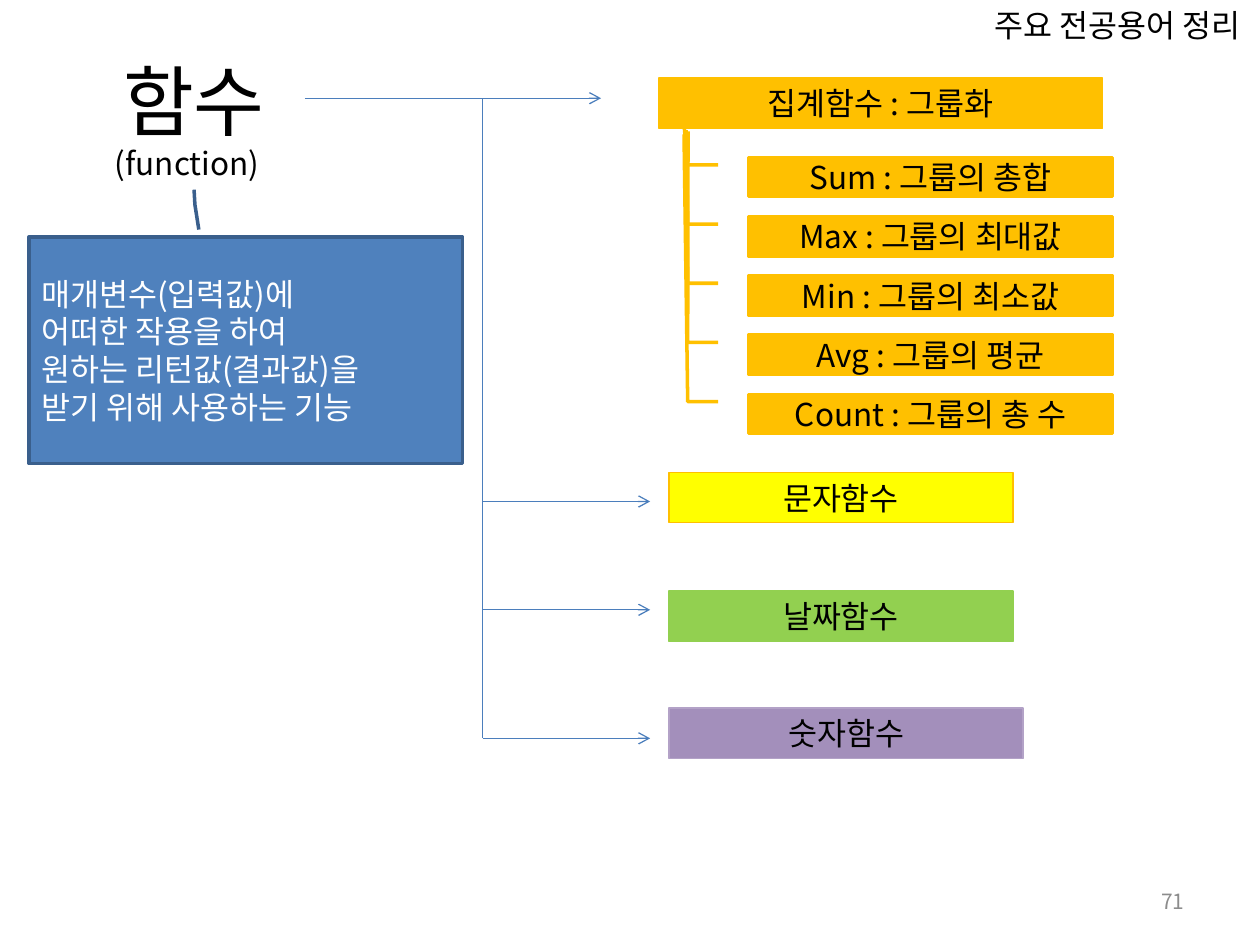
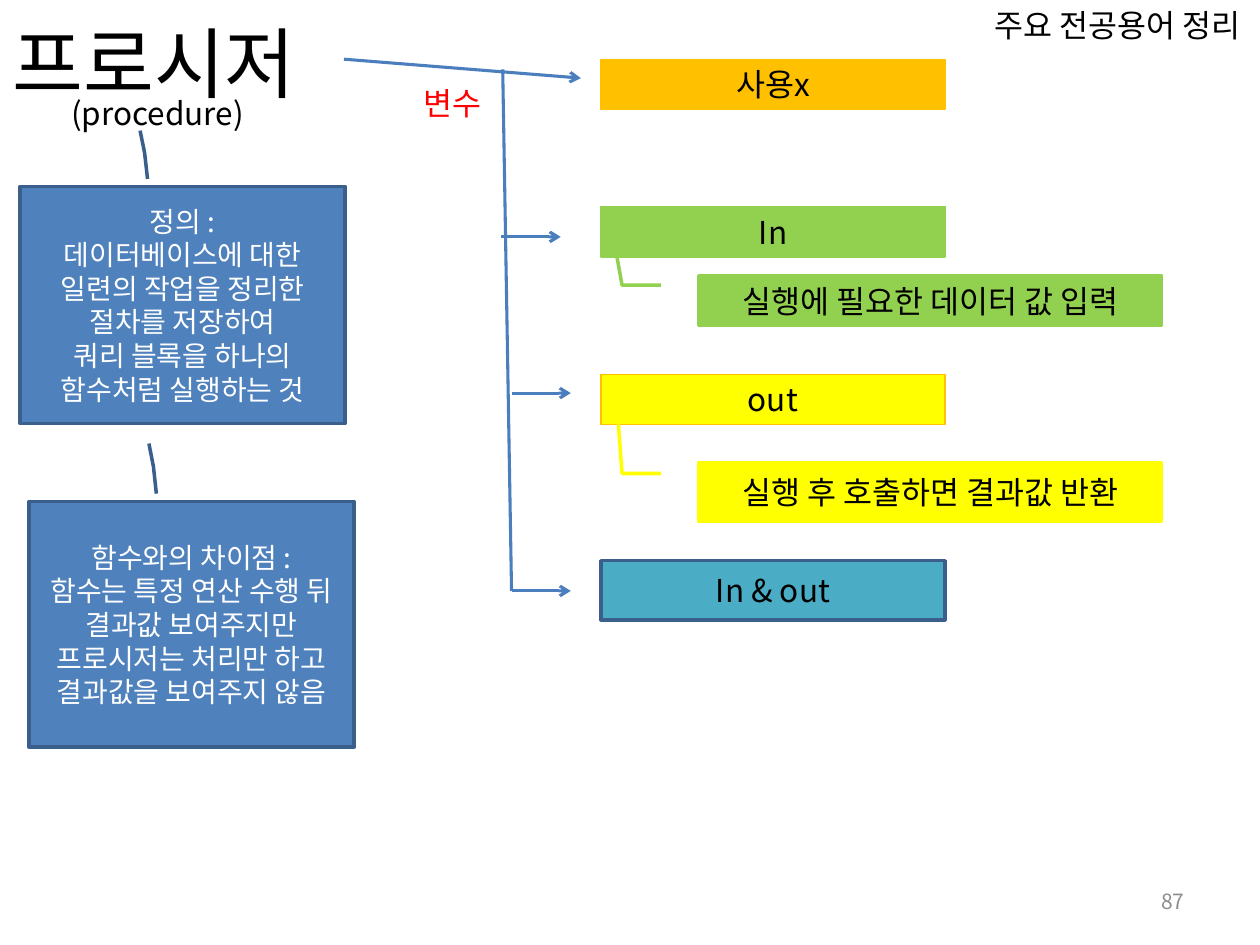
from typing import NamedTuple

from lxml import etree
from pptx import Presentation
from pptx import util as u
from pptx.dml.color import RGBColor
from pptx.enum import shapes, text
from pptx.oxml import ns

FONT = "Noto Sans CJK KR"
BLACK, WHITE, RED, GRAY = "000000", "FFFFFF", "FF0000", "8C8C8C"
BLUE, DARK_BLUE, ARROW_BLUE = "4F81BD", "3A5F8C", "4B7EBC"
ORANGE, YELLOW, GREEN, TEAL = "FFC000", "FFFF00", "92D050", "4BACC6"
PURPLE, LIGHT_PURPLE = "8064A2", "B3A2C7"

CENTER, LEFT, RIGHT = text.PP_ALIGN.CENTER, text.PP_ALIGN.LEFT, text.PP_ALIGN.RIGHT
TOP, MIDDLE = text.MSO_ANCHOR.TOP, text.MSO_ANCHOR.MIDDLE
RECTANGLE = shapes.MSO_SHAPE.RECTANGLE
CALLOUT = shapes.MSO_SHAPE.LINE_CALLOUT_2
ELBOW, STRAIGHT = shapes.MSO_CONNECTOR.ELBOW, shapes.MSO_CONNECTOR.STRAIGHT

# Callout leader: start and bend, as (y, x) shares of the box
TOP_LEADER = (-0.032, 0.392, -0.142, 0.383)
SIDE_LEADER = (0.188, -0.083, 0.188, -0.167)


class Area(NamedTuple):
    left: float
    top: float
    width: float
    height: float


class Style(NamedTuple):
    size: float = 18
    color: str = BLACK
    align: text.PP_ALIGN = CENTER
    anchor: text.MSO_ANCHOR = TOP
    spacing: float = 1.2


class Box(NamedTuple):
    area: Area
    words: str
    fill: str
    line: str
    line_width: float = 0.75
    style: Style = Style()
    leader: tuple[float, ...] = ()
    opacity: int = 100


class Line(NamedTuple):
    start: tuple[float, float]
    end: tuple[float, float]
    arrow: bool = True
    kind: shapes.MSO_CONNECTOR = STRAIGHT


TITLE = Style(44, spacing=1.32)
NOTE = Style(anchor=MIDDLE)
PAGE_NUMBER = Style(12, GRAY, RIGHT, MIDDLE)


def rgb(value: str) -> RGBColor:
    return RGBColor.from_string(value)


def inches(values: tuple[float, ...]) -> list[u.Length]:
    return [u.Inches(value) for value in values]


def write(frame, words: str, style: Style) -> None:
    frame.word_wrap = True
    frame.vertical_anchor = style.anchor
    frame.text = words
    for paragraph in frame.paragraphs:
        paragraph.alignment = style.align
        paragraph.line_spacing = u.Pt(round(style.size * style.spacing, 1))
        for run in paragraph.runs:
            run.font.size = u.Pt(style.size)
            run.font.name = FONT
            run.font.color.rgb = rgb(style.color)
            east_asian = etree.SubElement(run.font._element, ns.qn("a:ea"))
            east_asian.set("typeface", FONT)


def add_label(slide, area: Area, words: str, style: Style = Style()) -> None:
    write(slide.shapes.add_textbox(*inches(area)).text_frame, words, style)


def add_box(slide, box: Box) -> None:
    """Draw a filled box, as a callout when it has a leader."""
    kind = CALLOUT if box.leader else RECTANGLE
    shape = slide.shapes.add_shape(kind, *inches(box.area))
    shape.shadow.inherit = False
    for index, share in enumerate(box.leader):
        shape.adjustments[index] = share
    shape.fill.solid()
    shape.fill.fore_color.rgb = rgb(box.fill)
    if box.opacity < 100:
        color = shape._element.spPr.find(".//" + ns.qn("a:srgbClr"))
        etree.SubElement(color, ns.qn("a:alpha")).set("val", str(box.opacity * 1000))
    shape.line.color.rgb = rgb(box.line)
    shape.line.width = u.Pt(box.line_width)
    write(shape.text_frame, box.words, box.style)


def add_line(slide, line: Line, width: float) -> None:
    connector = slide.shapes.add_connector(line.kind, *inches(line.start + line.end))
    connector.line.color.rgb = rgb(ARROW_BLUE)
    connector.line.width = u.Pt(width)
    if line.arrow:
        etree.SubElement(connector.line._get_or_add_ln(), ns.qn("a:tailEnd")).set("type", "arrow")
    etree.SubElement(connector._element.spPr, ns.qn("a:effectLst"))


def definition(area: Area, words: str, tip: tuple[float, float], style: Style) -> Box:
    return Box(area, words, BLUE, DARK_BLUE, 2, style, TOP_LEADER + tip)


def note(area: Area, words: str, color: str, tip: tuple[float, float]) -> Box:
    return Box(area, words, color, color, 2, NOTE, SIDE_LEADER + tip)


def add_term_slide(deck, page: int, lines: list[Line], line_width: float, boxes: list[Box]):
    """Add a slide with the shared header, page number, lines and boxes."""
    slide = deck.slides.add_slide(deck.slide_layouts[6])
    for line in lines:
        add_line(slide, line, line_width)
    for box in boxes:
        add_box(slide, box)
    add_label(slide, Area(7.58, 0, 2.58, 0.4), "주요 전공용어 정리")
    add_label(slide, Area(7.17, 6.95, 2.33, 0.4), str(page), PAGE_NUMBER)
    return slide


def add_function_slide(deck) -> None:
    trunk = 3.83
    lines = [
        Line((2.42, 0.78), (4.77, 0.78), kind=ELBOW),
        Line((trunk, 0.78), (trunk, 5.86), arrow=False),
        *(Line((trunk, y), (5.16, y)) for y in (3.98, 4.84, 5.86)),
    ]
    aggregates = [
        ("Sum : 그룹의 총합", (-0.749, -0.176)),
        ("Max : 그룹의 최대값", (-2.219, -0.171)),
        ("Min : 그룹의 최소값", (-3.59, -0.172)),
        ("Avg : 그룹의 평균", (-5.223, -0.166)),
        ("Count : 그룹의 총 수", (-6.659, -0.177)),
    ]
    meaning = "매개변수(입력값)에\n어떠한 작용을 하여\n원하는 리턴값(결과값)을\n받기 위해 사용하는 기능"
    boxes = [
        definition(Area(0.23, 1.88, 3.44, 1.8), meaning, (-0.208, 0.381),
                   Style(color=WHITE, align=LEFT, anchor=MIDDLE)),
        Box(Area(5.23, 0.62, 3.52, 0.4), "집계함수 : 그룹화", ORANGE, ORANGE),
        Box(Area(5.31, 3.75, 2.73, 0.4), "문자함수", YELLOW, ORANGE),
        Box(Area(5.31, 4.69, 2.73, 0.4), "날짜함수", GREEN, GREEN),
        Box(Area(5.31, 5.62, 2.81, 0.4), "숫자함수", PURPLE, LIGHT_PURPLE, opacity=72),
        *(note(Area(5.94, 1.25 + 0.47 * row, 2.89, 0.31), words, ORANGE, tip)
          for row, (words, tip) in enumerate(aggregates)),
    ]
    slide = add_term_slide(deck, 71, lines, 0.75, boxes)
    add_label(slide, Area(0.5, 0.3, 2.08, 0.87), "함수", TITLE)
    add_label(slide, Area(0.78, 1.09, 1.41, 0.4), "(function)")


def add_procedure_slide(deck) -> None:
    lines = [
        Line((2.73, 0.47), (4.61, 0.62)),
        Line((3.99, 0.55), (4.06, 4.69), arrow=False),
        *(Line((x, y), (x + 0.47, y)) for x, y in ((3.98, 1.88), (4.06, 3.12), (4.06, 4.69))),
    ]
    body = Style(16, WHITE, anchor=MIDDLE)
    tip = (-0.236, 0.369)
    meaning = ("정의 :\n데이터베이스에 대한 일련의 작업을 정리한 절차를 저장하여\n"
               "쿼리 블록을 하나의 함수처럼 실행하는 것")
    difference = ("함수와의 차이점 :\n함수는 특정 연산 수행 뒤 결과값 보여주지만 "
                  "프로시저는 처리만 하고 결과값을 보여주지 않음")
    boxes = [
        definition(Area(0.16, 1.48, 2.58, 1.88), meaning, tip, body),
        definition(Area(0.23, 3.98, 2.58, 1.95), difference, tip, body),
        Box(Area(4.77, 0.47, 2.73, 0.4), "사용x", ORANGE, ORANGE),
        Box(Area(4.77, 1.64, 2.73, 0.4), "In", GREEN, GREEN),
        Box(Area(4.77, 2.97, 2.73, 0.4), "out", YELLOW, ORANGE),
        Box(Area(4.77, 4.45, 2.73, 0.47), "In & out", TEAL, DARK_BLUE, 2, NOTE),
        note(Area(5.55, 2.19, 3.67, 0.39), "실행에 필요한 데이터 값 입력", GREEN, (-0.439, -0.179)),
        note(Area(5.55, 3.67, 3.67, 0.47), "실행 후 호출하면 결과값 반환", YELLOW, (-0.749, -0.176)),
    ]
    slide = add_term_slide(deck, 87, lines, 1.75, boxes)
    add_label(slide, Area(0, 0, 3.25, 1.25), "프로시저", TITLE._replace(align=LEFT))
    add_label(slide, Area(0.39, 0.7, 1.72, 0.4), "(procedure)")
    add_label(slide, Area(2.73, 0.62, 1.72, 0.4), "변수", Style(color=RED))


def main() -> None:
    deck = Presentation()
    deck.slide_width, deck.slide_height = u.Inches(10), u.Inches(7.5)
    add_function_slide(deck)
    add_procedure_slide(deck)
    deck.save("out.pptx")


if __name__ == "__main__":
    main()
